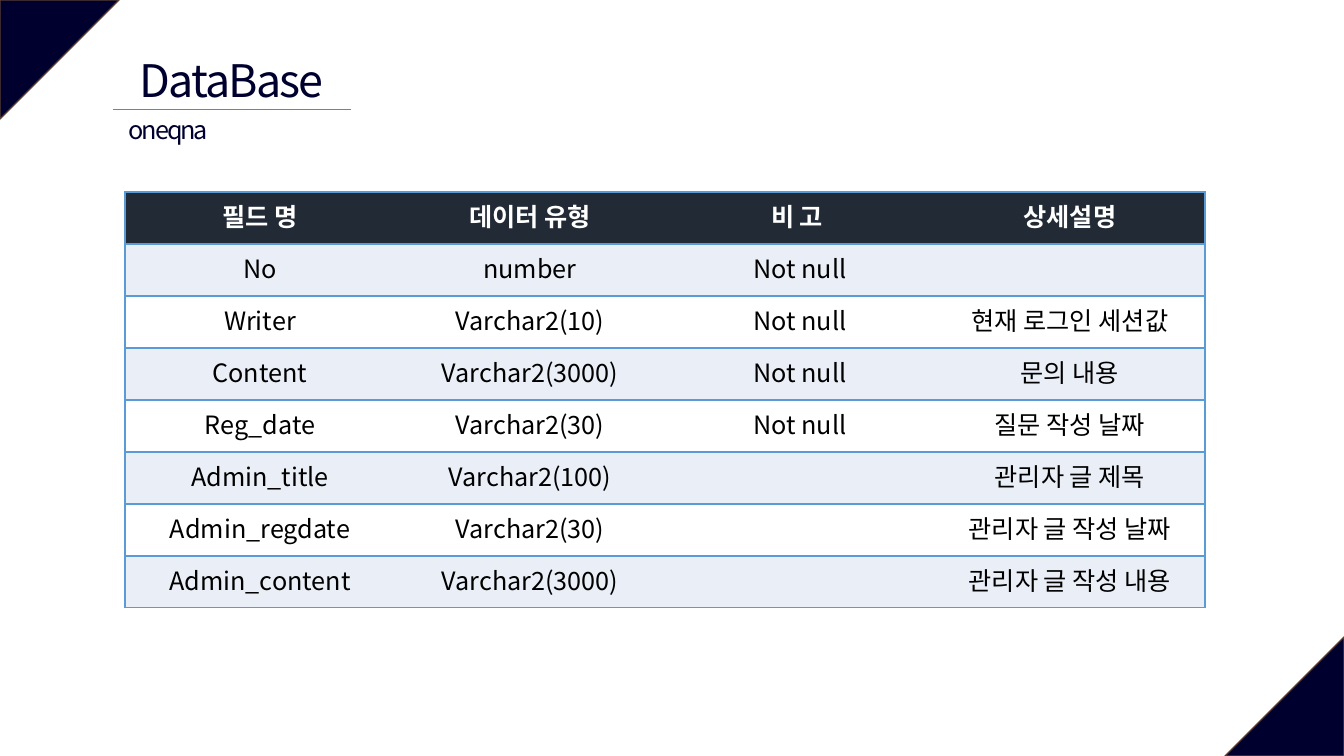
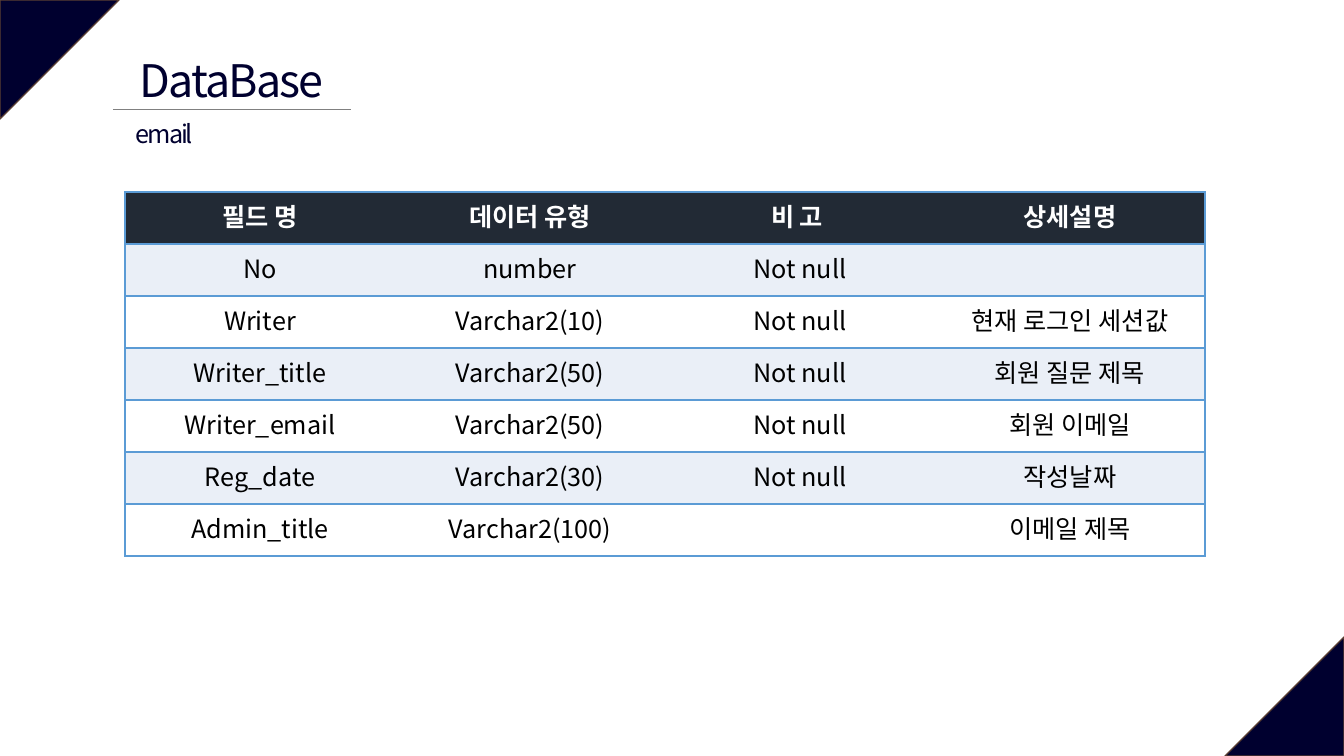
from pptx import Presentation
from pptx.dml.color import RGBColor
from pptx.enum.shapes import MSO_CONNECTOR as Connector, MSO_SHAPE as Shape
from pptx.enum.text import MSO_AUTO_SIZE as AutoSize, PP_ALIGN as Align
from pptx.oxml.ns import qn
from pptx.util import Emu, Pt
from lxml.etree import SubElement

# Shared look
PAGE_W, PAGE_H = 1344, 756
FONT = "Noto Sans CJK KR"
COLORS = {
    "navy": "00002F",
    "corner_edge": "5B3F33",
    "rule": "808080",
    "header": "222A35",
    "band": "EAEFF7",
    "white": "FFFFFF",
    "black": "000000",
    "border": "5B9BD5",
}
CORNER = 119
TABLE_LEFT, TABLE_TOP = 125, 192
COLUMN_W, ROW_H = 270, 52

# Content
HEADER = ("필드 명", "데이터 유형", "비 고 ", "상세설명")
COMMON_ROWS = [
    ("No", "number", "Not null", ""),
    ("Writer", "Varchar2(10)", "Not null", "현재 로그인 세션값"),
]
QNA_ROWS = [
    ("Content", "Varchar2(3000)", "Not null", "문의 내용"),
    ("Reg_date", "Varchar2(30)", "Not null", "질문 작성 날짜"),
    ("Admin_title", "Varchar2(100)", "", "관리자 글 제목"),
    ("Admin_regdate", "Varchar2(30)", "", "관리자 글 작성 날짜"),
    ("Admin_content", "Varchar2(3000)", "", "관리자 글 작성 내용"),
]
EMAIL_ROWS = [
    ("Writer_title", "Varchar2(50)", "Not null", "회원 질문 제목"),
    ("Writer_email", "Varchar2(50)", "Not null", "회원 이메일"),
    ("Reg_date", "Varchar2(30)", "Not null", "작성날짜"),
    ("Admin_title", "Varchar2(100)", "", "이메일 제목"),
]
# Subtitle, its box, and the table rows of each page
PAGES = [
    ("oneqna", (113, 109, 111, 40), QNA_ROWS),
    ("email", (109, 113, 111, 39), EMAIL_ROWS),
]


def px(*lengths):
    return [Emu(round(length * 914400 / 100.8)) for length in lengths]


def color(name):
    return RGBColor.from_string(COLORS[name])


def write(frame, text, size, color_name, bold=False, spacing=None):
    """Put one centred, styled paragraph into a text frame."""
    frame.text = text
    para = frame.paragraphs[0]
    para.alignment = Align.CENTER
    for span in para.runs:
        font = span.font
        font.size, font.bold, font.name = Pt(size), bold, FONT
        font.color.rgb = color(color_name)
        props = span.font._element
        SubElement(props, qn("a:ea")).set("typeface", FONT)
        if spacing is not None:
            props.set("spc", str(spacing))


def add_corner(page, left, top, rotation):
    corner = page.shapes.add_shape(
        Shape.ISOSCELES_TRIANGLE, *px(left, top, CORNER, CORNER))
    corner.adjustments[0] = 0
    corner.rotation = rotation
    corner.shadow.inherit = False
    corner.fill.solid()
    corner.fill.fore_color.rgb = color("navy")
    corner.line.color.rgb = color("corner_edge")
    corner.line.width = Pt(1)


def add_rule(page, left, right, y):
    rule = page.shapes.add_connector(
        Connector.STRAIGHT, *px(left, y, right, y))
    rule.line.color.rgb = color("rule")
    rule.line.width = Pt(0.5)
    SubElement(rule._element.spPr, qn("a:effectLst"))


def add_label(page, bounds, text, size, spacing):
    box = page.shapes.add_textbox(*px(*bounds))
    frame = box.text_frame
    frame.word_wrap = False
    frame.auto_size = AutoSize.SHAPE_TO_FIT_TEXT
    write(frame, text, size, "navy", spacing=spacing)


def set_borders(cell, visible_sides):
    props = cell._tc.get_or_add_tcPr()
    for side in "LRTB":
        edge = SubElement(props, qn(f"a:ln{side}"), w=str(Pt(1)))
        if side in visible_sides:
            fill = SubElement(edge, qn("a:solidFill"))
            SubElement(fill, qn("a:srgbClr"), val=COLORS["border"])
        else:
            SubElement(edge, qn("a:noFill"))


def add_field_table(page, rows):
    last = len(HEADER) - 1
    table = page.shapes.add_table(
        len(rows), len(HEADER),
        *px(TABLE_LEFT, TABLE_TOP, COLUMN_W * len(HEADER), ROW_H * len(rows)),
    ).table
    for r, row in enumerate(rows):
        is_header = r == 0
        fill = "header" if is_header else "band" if r % 2 else "white"
        for c, text in enumerate(row):
            cell = table.cell(r, c)
            sides = "TB" + ("L" if c == 0 else "R" if c == last else "")
            set_borders(cell, sides)
            cell.fill.solid()
            cell.fill.fore_color.rgb = color(fill)
            write(cell.text_frame, text, 18,
                  "white" if is_header else "black", bold=is_header)


def add_frame(page):
    """Draw the corners, title and title rule that every page has."""
    add_corner(page, 0, 0, 90)
    add_corner(page, PAGE_W - CORNER, PAGE_H - CORNER, 270)
    add_rule(page, 113, 351, 109)
    add_label(page, (116, 48, 231, 62), "DataBase", 32, -130)


def main():
    deck = Presentation()
    deck.slide_width, deck.slide_height = px(PAGE_W, PAGE_H)
    blank = deck.slide_layouts[6]
    for subtitle, bounds, rows in PAGES:
        page = deck.slides.add_slide(blank)
        add_frame(page)
        add_label(page, bounds, subtitle, 18, -150)
        add_field_table(page, [HEADER, *COMMON_ROWS, *rows])
    deck.save("out.pptx")


if __name__ == "__main__":
    main()
